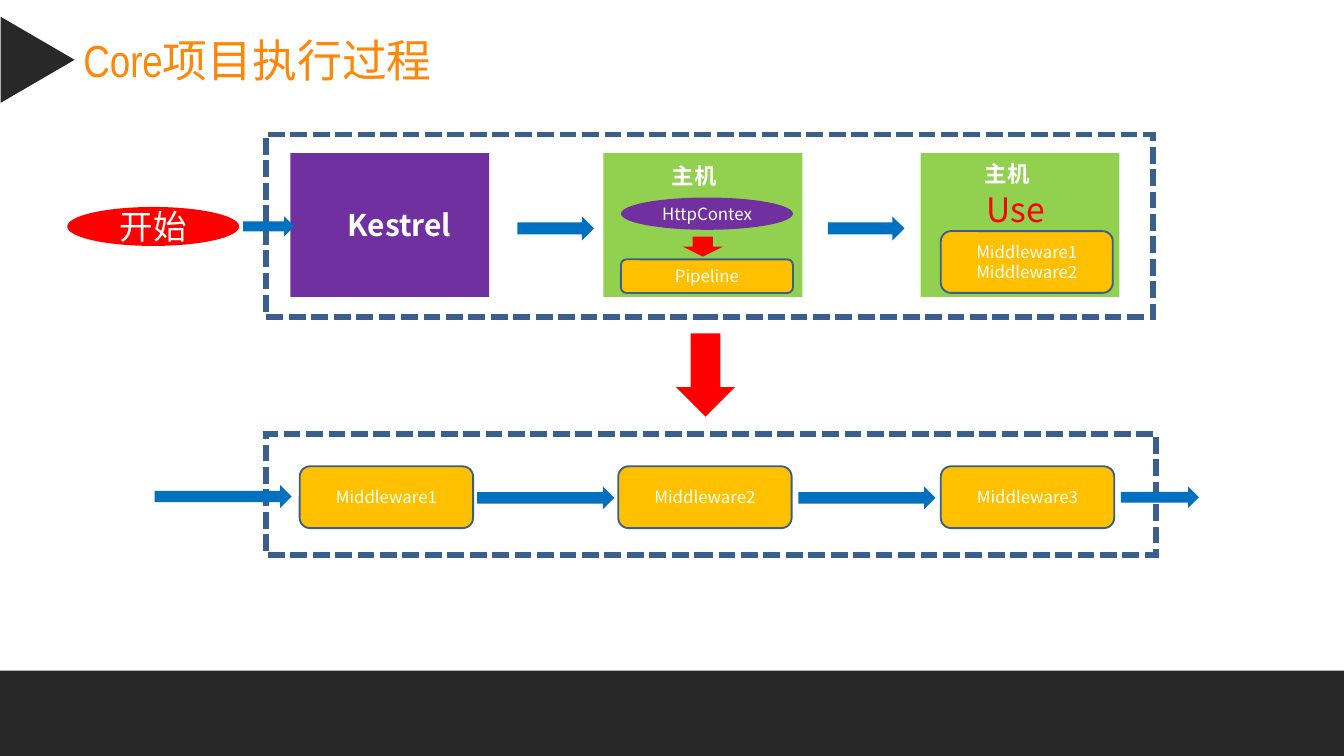
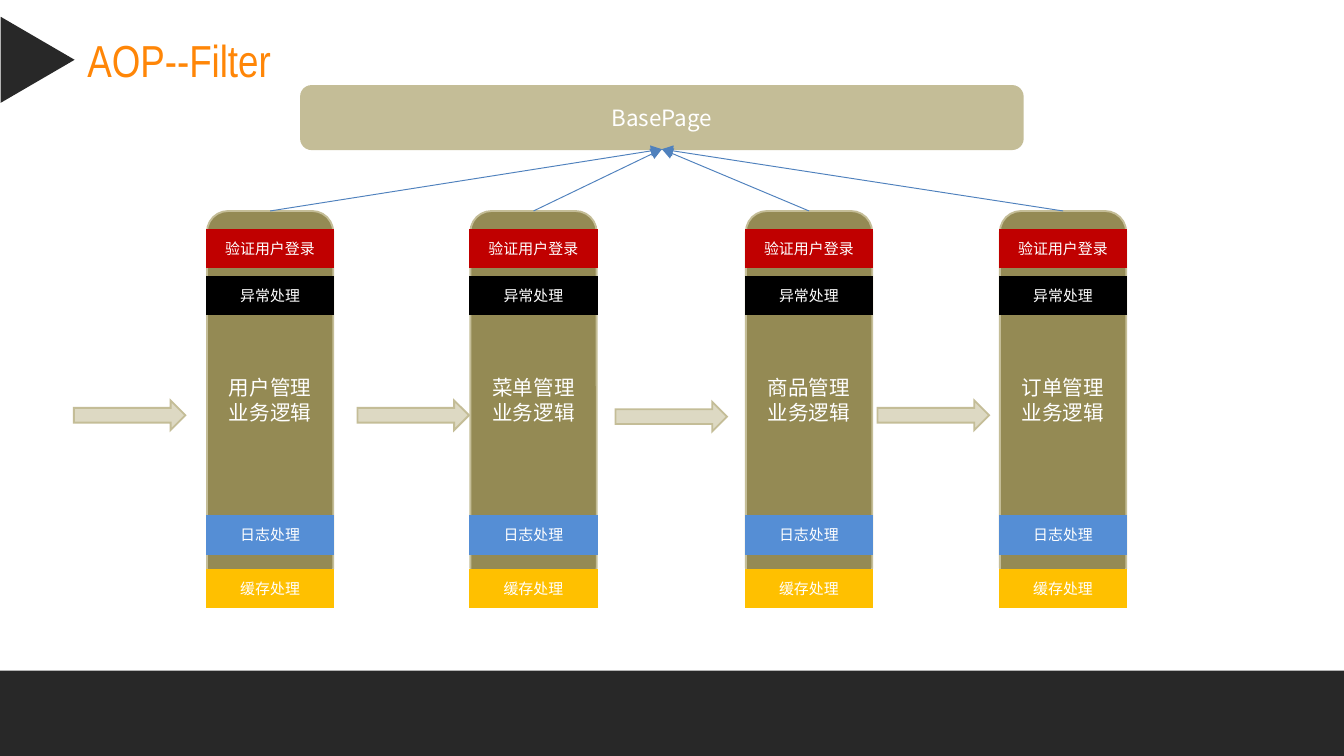
from lxml import etree
from pptx import Presentation
from pptx.dml.color import RGBColor
from pptx.enum.dml import MSO_LINE
from pptx.enum.shapes import MSO_CONNECTOR, MSO_SHAPE
from pptx.enum.text import MSO_ANCHOR, MSO_AUTO_SIZE, PP_ALIGN
from pptx.oxml.ns import qn
from pptx.util import Inches, Pt

RECTANGLE = MSO_SHAPE.RECTANGLE
ROUNDED = MSO_SHAPE.ROUNDED_RECTANGLE
ELLIPSE = MSO_SHAPE.OVAL
TRIANGLE = MSO_SHAPE.ISOSCELES_TRIANGLE
RIGHT_ARROW = MSO_SHAPE.RIGHT_ARROW
DOWN_ARROW = MSO_SHAPE.DOWN_ARROW
STRAIGHT = MSO_CONNECTOR.STRAIGHT
DASH = MSO_LINE.SQUARE_DOT
TOP, MIDDLE = MSO_ANCHOR.TOP, MSO_ANCHOR.MIDDLE
LEFT, CENTER = PP_ALIGN.LEFT, PP_ALIGN.CENTER
NO_AUTOFIT = MSO_AUTO_SIZE.NONE

TITLE_FONT = "Arial Narrow"
BODY_FONT = "Noto Sans CJK SC"
TITLE_ONLY_LAYOUT = 5
TOP_SITE, BOTTOM_SITE = 0, 2
SLIDE_WIDTH = Inches(10)
SLIDE_HEIGHT = SLIDE_WIDTH * 9 // 16

COLORS = {
    "white": "FFFFFF",
    "black": "000000",
    "dark": "282828",
    "title": "FF8607",
    "red": "FF0000",
    "purple": "7030A0",
    "green": "92D050",
    "amber": "FFC000",
    "outline": "3A5F8C",
    "flow": "0070C0",
    "sand": "C4BD97",
    "pale_sand": "DDD9C3",
    "olive": "948A54",
    "crimson": "C00000",
    "sky": "558ED5",
    "connector": "4F81BD",
}


def color(name):
    return RGBColor.from_string(COLORS[name])


def apply_format(target, values):
    for name, value in values.items():
        setattr(target, name, value)


def place(shape, box):
    names = ("left", "top", "width", "height")
    apply_format(shape, dict(zip(names, map(Inches, box))))


def write_text(shape, text, size, text_color="white", font_name=BODY_FONT,
               bold=False, align=CENTER, anchor=MIDDLE):
    frame = shape.text_frame
    frame.text = text
    apply_format(frame, {"auto_size": NO_AUTOFIT, "word_wrap": True,
                         "vertical_anchor": anchor})
    for paragraph in frame.paragraphs:
        paragraph.alignment = align
        for run in paragraph.runs:
            apply_format(run.font, {"name": font_name, "size": Pt(size),
                                    "bold": bold})
            run.font.color.rgb = color(text_color)
            east_asian = etree.SubElement(run.font._element, qn("a:ea"))
            east_asian.set("typeface", BODY_FONT)


def set_outline(shape, line_color, width):
    shape.line.color.rgb = color(line_color)
    shape.line.width = Pt(width)
    outline = shape._element.spPr.find(qn("a:ln"))
    etree.SubElement(outline, qn("a:miter")).set("lim", "800000")


def add_block(slide, kind, box, fill=None, line=None, width=1, text=None, size=9):
    shape = slide.shapes.add_shape(kind, *map(Inches, box))
    shape.shadow.inherit = False
    if fill:
        shape.fill.solid()
        shape.fill.fore_color.rgb = color(fill)
    else:
        shape.fill.background()
    if line:
        set_outline(shape, line, width)
    else:
        shape.line.fill.background()
    if text:
        write_text(shape, text, size)
    return shape


def add_label(slide, box, text, size, text_color="white", bold=False):
    label = slide.shapes.add_textbox(*map(Inches, box))
    write_text(label, text, size, text_color, bold=bold, align=LEFT, anchor=TOP)


def add_dashed_frame(slide, box):
    frame = add_block(slide, RECTANGLE, box, line="outline", width=3)
    frame.line.dash_style = DASH


def add_middleware(slide, box, text):
    add_block(slide, ROUNDED, box, "amber", "outline", text=text)


def add_link(slide, source, target):
    connector = slide.shapes.add_connector(STRAIGHT, 0, 0, 0, 0)
    connector.begin_connect(source, TOP_SITE)
    connector.end_connect(target, BOTTOM_SITE)
    connector.line.color.rgb = color("connector")
    connector.line.width = Pt(0.5)
    properties = connector._element.spPr
    arrowhead = etree.SubElement(properties.find(qn("a:ln")), qn("a:tailEnd"))
    arrowhead.set("type", "triangle")
    etree.SubElement(properties, qn("a:effectLst"))


def add_base_slide(presentation, title, title_box):
    slide = presentation.slides.add_slide(presentation.slide_layouts[TITLE_ONLY_LAYOUT])
    add_block(slide, RECTANGLE, (0, 4.99, 10, 0.64), "dark")
    place(slide.shapes.title, title_box)
    write_text(slide.shapes.title, title, 24, "title", TITLE_FONT,
               align=LEFT, anchor=TOP)
    marker = add_block(slide, TRIANGLE, (-0.04, 0.17, 0.64, 0.55), "dark")
    marker.rotation = 90
    return slide


def add_hosting_stage(slide):
    add_block(slide, ELLIPSE, (0.5, 1.54, 1.28, 0.29), "red", text="开始", size=18)
    for left, fill in ((2.16, "purple"), (4.49, "green"), (6.85, "green")):
        add_block(slide, RECTANGLE, (left, 1.14, 1.48, 1.07), fill)
    add_label(slide, (2.49, 1.49, 1.02, 0.35), "Kestrel", 16, bold=True)
    for left, top in ((4.9, 1.16), (7.23, 1.14)):
        add_label(slide, (left, top, 0.99, 0.29), "主机", 12, bold=True)
    add_block(slide, ELLIPSE, (4.62, 1.47, 1.28, 0.24), "purple", text="HttpContex")
    add_block(slide, DOWN_ARROW, (5.08, 1.76, 0.3, 0.15), "red")
    add_middleware(slide, (4.62, 1.93, 1.28, 0.25), "Pipeline")
    add_label(slide, (7.24, 1.36, 0.69, 0.31), "Use", 18, "red")
    add_middleware(slide, (7, 1.72, 1.28, 0.46), "Middleware1\nMiddleware2")
    add_dashed_frame(slide, (1.98, 1, 6.6, 1.36))


def add_middleware_stage(slide):
    add_dashed_frame(slide, (1.98, 3.23, 6.62, 0.9))
    for number, left in enumerate((2.23, 4.6, 7), start=1):
        add_middleware(slide, (left, 3.47, 1.29, 0.46), f"Middleware{number}")


def build_execution_slide(presentation):
    slide = add_base_slide(presentation, "Core项目执行过程", (0.52, 0.19, 3, 0.5))
    add_hosting_stage(slide)
    add_block(slide, DOWN_ARROW, (5.03, 2.48, 0.44, 0.62), "red")
    add_middleware_stage(slide)
    flow_arrows = (
        (1.81, 1.61, 0.38, 0.15),
        (3.85, 1.61, 0.57, 0.18),
        (6.16, 1.61, 0.57, 0.18),
        (1.15, 3.61, 1.02, 0.17),
        (3.55, 3.62, 1.02, 0.17),
        (5.94, 3.62, 1.02, 0.17),
        (8.34, 3.62, 0.58, 0.16),
    )
    for box in flow_arrows:
        add_block(slide, RIGHT_ARROW, box, "flow")


def add_module(slide, left, name):
    module = add_block(slide, ROUNDED, (left, 1.57, 0.94, 2.81), "olive", "sand",
                       text=name + "业务逻辑", size=11)
    filters = (
        (1.71, "crimson", "验证用户登录"),
        (2.06, "black", "异常处理"),
        (3.84, "sky", "日志处理"),
        (4.24, "amber", "缓存处理"),
    )
    for top, fill, text in filters:
        add_block(slide, RECTANGLE, (left, top, 0.94, 0.28), fill, fill,
                  text=text, size=8)
    return module


def build_filter_slide(presentation):
    slide = add_base_slide(presentation, "AOP--Filter", (0.55, 0.19, 1.64, 0.5))
    base_page = add_block(slide, ROUNDED, (2.24, 0.64, 5.37, 0.47), "sand", "sand",
                          text="BasePage", size=12)
    columns = ((1.54, "用户管理"), (3.5, "菜单管理"),
               (5.55, "商品管理"), (7.44, "订单管理"))
    modules = [add_module(slide, left, name) for left, name in columns]
    for module in modules:
        add_link(slide, module, base_page)
    for left, top in ((0.55, 2.98), (2.66, 2.98), (4.58, 2.99), (6.53, 2.98)):
        add_block(slide, RIGHT_ARROW, (left, top, 0.83, 0.22), "pale_sand", "sand")


def main():
    presentation = Presentation()
    apply_format(presentation, {"slide_width": SLIDE_WIDTH,
                                "slide_height": SLIDE_HEIGHT})
    build_execution_slide(presentation)
    build_filter_slide(presentation)
    presentation.save("out.pptx")


main()
